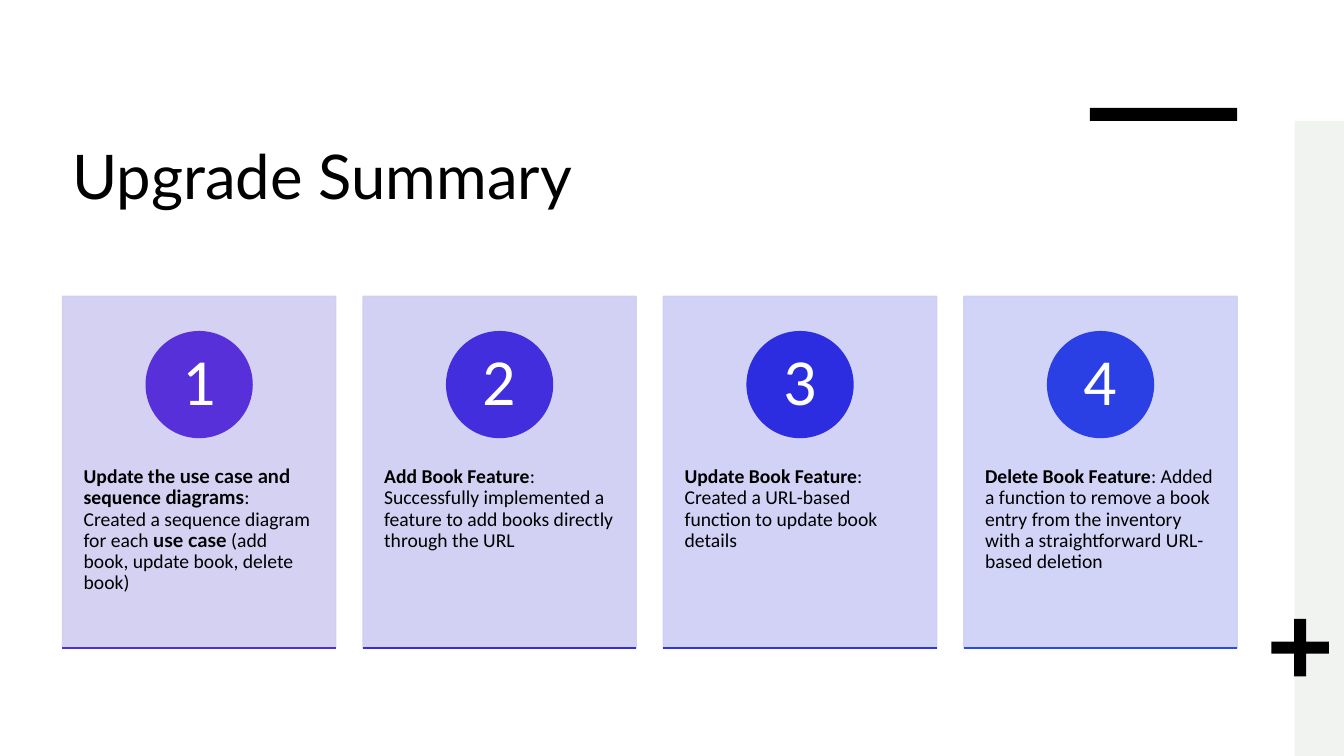
"""Build the Upgrade Summary slide with four numbered cards."""
from lxml import etree
from pptx import Presentation
from pptx.dml.color import RGBColor
from pptx.enum.shapes import MSO_CONNECTOR, MSO_SHAPE
from pptx.enum.text import MSO_ANCHOR, PP_ALIGN
from pptx.oxml.ns import qn
from pptx.util import Inches, Pt

RECTANGLE, OVAL, CROSS = MSO_SHAPE.RECTANGLE, MSO_SHAPE.OVAL, MSO_SHAPE.CROSS
STRAIGHT = MSO_CONNECTOR.STRAIGHT
TOP, MIDDLE, CENTER = MSO_ANCHOR.TOP, MSO_ANCHOR.MIDDLE, PP_ALIGN.CENTER

CARD_LEFT, CARD_TOP, CARD_WIDTH, CARD_HEIGHT = 0.62, 2.94, 2.71, 3.49
CARD_PITCH, CIRCLE_SIZE = 2.98, 1.05
CARD_BOTTOM = CARD_TOP + CARD_HEIGHT

CARDS = [
    ("D1CDF1", "5830D9", "4D2FDB", [
        ("Update the ", "Calibri", True),
        ("use case and ", "Lato", True),
        ("sequence ", "Calibri", True),
        ("diagrams", "Lato", True),
        (": Created a sequence diagram for each ", "Calibri", False),
        ("use case", "Lato", True),
        (" (add book, update book, delete book)", "Calibri", False)]),
    ("CFCDF2", "432EDD", "372DDF", [
        ("Add Book Feature", "Calibri", True),
        (": Successfully implemented a feature to add books directly through the URL",
         "Calibri", False)]),
    ("CDCEF4", "2C2CE1", "2B36E3", [
        ("Update Book Feature", "Calibri", True),
        (": Created a URL-based function to update book details", "Calibri", False)]),
    ("CDD0F6", "2A40E5", "294BE7", [
        ("Delete Book Feature", "Calibri", True),
        (": Added a function to remove a book entry from the inventory with a "
         "straightforward URL-based deletion", "Calibri", False)]),
]


def color(hex_string):
    return RGBColor.from_string(hex_string)


def add_block(kind, left, top, width, height, fill):
    block = slide.shapes.add_shape(
        kind, Inches(left), Inches(top), Inches(width), Inches(height))
    block.shadow.inherit = False
    block.fill.solid()
    block.fill.fore_color.rgb = color(fill)
    block.line.fill.background()
    return block


prs = Presentation()
prs.slide_width, prs.slide_height = Inches(13.33), Inches(7.5)
slide = prs.slides.add_slide(prs.slide_layouts[6])

add_block(RECTANGLE, 12.84, 1.2, 0.49, 6.3, "F1F3F0")
add_block(RECTANGLE, 10.81, 1.07, 1.46, 0.13, "000000")
plus = add_block(CROSS, 12.61, 6.14, 0.57, 0.57, "000000")
plus.adjustments[0] = 0.395

title = slide.shapes.add_textbox(Inches(0.62), Inches(1.32), Inches(9.04), Inches(1.58))
title.text_frame.word_wrap = True
title.text_frame.vertical_anchor = TOP
heading = title.text_frame.paragraphs[0]
heading.text = "Upgrade Summary"
heading.font.name = "Lato"
heading.font.size = Pt(44)
heading.font.color.rgb = color("000000")

for index, (card_fill, circle_fill, rule_color, runs) in enumerate(CARDS):
    left = CARD_LEFT + index * CARD_PITCH

    card = add_block(RECTANGLE, left, CARD_TOP, CARD_WIDTH, CARD_HEIGHT, card_fill)
    card.line.color.rgb = color(card_fill)
    card.line.width = Pt(1)
    for tint in card._element.spPr.iter(qn("a:srgbClr")):
        etree.SubElement(tint, qn("a:alpha"), val="90000")

    description = slide.shapes.add_textbox(
        Inches(left), Inches(4.27), Inches(CARD_WIDTH), Inches(2.09))
    frame = description.text_frame
    frame.word_wrap = True
    frame.margin_left = frame.margin_right = Inches(0.21)
    frame.margin_top = frame.margin_bottom = Inches(0.36)
    paragraph = frame.paragraphs[0]
    paragraph.line_spacing = 0.9
    paragraph.font.size = Pt(14)
    paragraph.font.color.rgb = color("000000")
    for text, font_name, bold in runs:
        run = paragraph.add_run()
        run.text = text
        run.font.name = font_name
        run.font.bold = bold

    circle = add_block(OVAL, left + (CARD_WIDTH - CIRCLE_SIZE) / 2, 3.29,
                       CIRCLE_SIZE, CIRCLE_SIZE, circle_fill)
    circle.line.color.rgb = color(circle_fill)
    circle.line.width = Pt(1)
    frame = circle.text_frame
    frame.margin_left = frame.margin_right = frame.margin_top = frame.margin_bottom = 0
    frame.vertical_anchor = MIDDLE
    number = frame.paragraphs[0]
    number.text = str(index + 1)
    number.alignment = CENTER
    number.line_spacing = 0.9
    number.font.name = "Calibri"
    number.font.size = Pt(47)
    number.font.color.rgb = color("FFFFFF")

    rule = slide.shapes.add_connector(
        STRAIGHT, Inches(left), Inches(CARD_BOTTOM),
        Inches(left + CARD_WIDTH), Inches(CARD_BOTTOM))
    rule.line.color.rgb = color(rule_color)
    rule.line.width = Pt(1)
    etree.SubElement(rule._element.spPr, qn("a:effectLst"))

prs.save("out.pptx")
